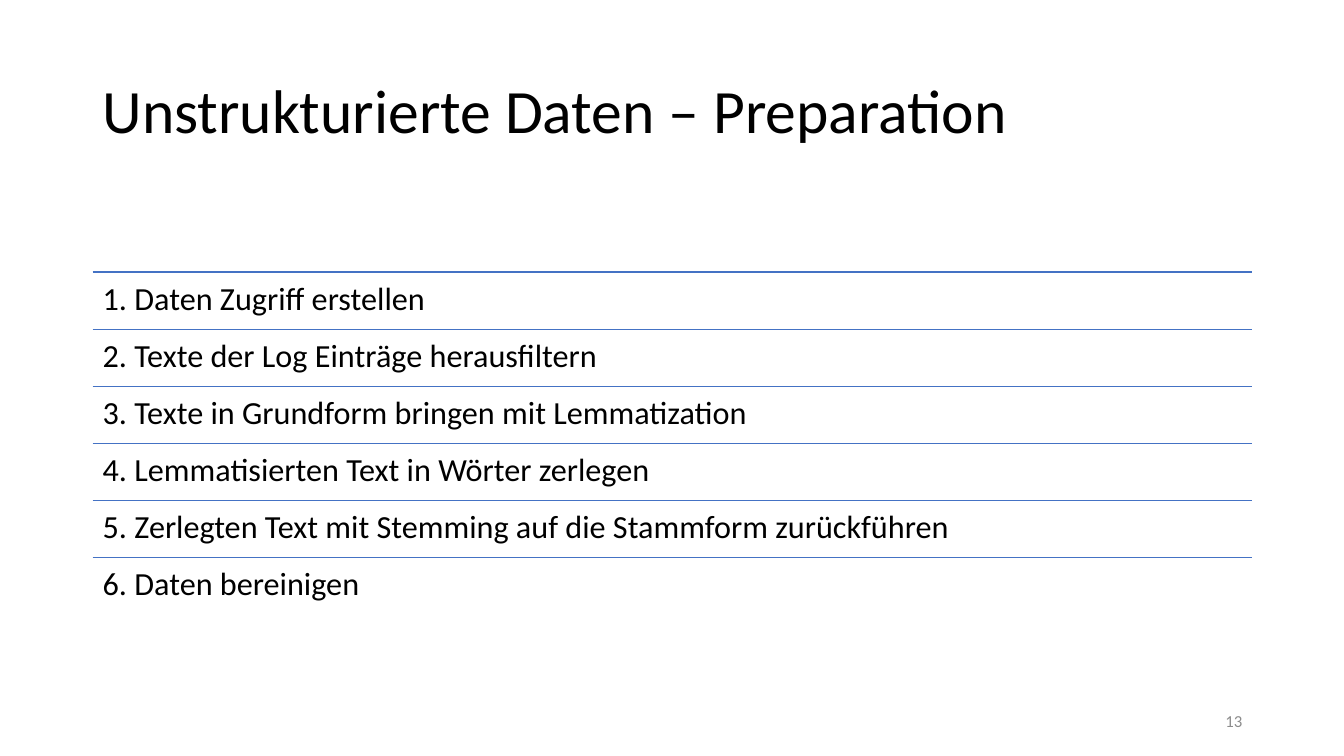
from dataclasses import dataclass

from lxml import etree
from pptx import Presentation
from pptx import util as u
from pptx.dml.color import RGBColor
from pptx.enum import shapes, text
from pptx.oxml import ns
from pptx.slide import Slide


@dataclass(frozen=True)
class Theme:
    font: str = "Calibri"
    ink: str = "000000"
    muted: str = "8C8C8C"
    rule: str = "4472C4"
    rule_width: float = 1
    title_size: float = 44
    step_size: float = 23
    number_size: float = 12


@dataclass(frozen=True)
class Area:
    left: float
    top: float
    width: float
    height: float


THEME = Theme()
TITLE = Area(0.92, 0.4, 11.5, 1.45)
STEP_LIST = Area(0.92, 2.7, 11.5, 3.4)
PAGE_NUMBER = Area(9.42, 6.95, 3, 0.4)
STEPS = (
    "Daten Zugriff erstellen",
    "Texte der Log Einträge herausfiltern",
    "Texte in Grundform bringen mit Lemmatization",
    "Lemmatisierten Text in Wörter zerlegen",
    "Zerlegten Text mit Stemming auf die Stammform zurückführen",
    "Daten bereinigen",
)


def add_text(
    page: Slide,
    area: Area,
    words: str,
    *,
    size: float,
    color: str = THEME.ink,
    align: text.PP_ALIGN = text.PP_ALIGN.LEFT,
    anchor: text.MSO_ANCHOR = text.MSO_ANCHOR.MIDDLE,
    line_spacing: float = 0.9,
    inset_y: float = 0.05,
) -> None:
    box = page.shapes.add_textbox(
        u.Inches(area.left), u.Inches(area.top), u.Inches(area.width), u.Inches(area.height)
    )
    frame = box.text_frame
    frame.word_wrap = True
    frame.vertical_anchor = anchor
    frame.margin_left = frame.margin_right = u.Inches(0.1)
    frame.margin_top = frame.margin_bottom = u.Inches(inset_y)
    para = frame.paragraphs[0]
    para.alignment = align
    para.line_spacing = line_spacing
    span = para.add_run()
    span.text = words
    span.font.name = THEME.font
    span.font.size = u.Pt(size)
    span.font.color.rgb = RGBColor.from_string(color)


def add_rule(page: Slide, left: float, top: float, width: float) -> None:
    rule = page.shapes.add_connector(
        shapes.MSO_CONNECTOR.STRAIGHT,
        u.Inches(left), u.Inches(top), u.Inches(left + width), u.Inches(top),
    )
    rule.line.color.rgb = RGBColor.from_string(THEME.rule)
    rule.line.width = u.Pt(THEME.rule_width)
    etree.SubElement(rule._element.spPr, ns.qn("a:effectLst"))


def add_steps(page: Slide, area: Area, steps: tuple[str, ...]) -> None:
    """Stack numbered steps in equal rows, each under its own rule."""
    height = area.height / len(steps)
    for index, step in enumerate(steps):
        row = Area(area.left, area.top + index * height, area.width, height)
        add_rule(page, row.left, row.top, row.width)
        add_text(
            page, row, f"{index + 1}. {step}",
            size=THEME.step_size, anchor=text.MSO_ANCHOR.TOP, inset_y=0.1,
        )


def main() -> None:
    deck = Presentation()
    deck.slide_width, deck.slide_height = u.Inches(13.33), u.Inches(7.5)
    page = deck.slides.add_slide(deck.slide_layouts[6])
    add_steps(page, STEP_LIST, STEPS)
    add_text(page, TITLE, "Unstrukturierte Daten – Preparation", size=THEME.title_size)
    add_text(
        page, PAGE_NUMBER, "13", size=THEME.number_size, color=THEME.muted,
        align=text.PP_ALIGN.RIGHT, line_spacing=1.0,
    )
    deck.save("out.pptx")


if __name__ == "__main__":
    main()
